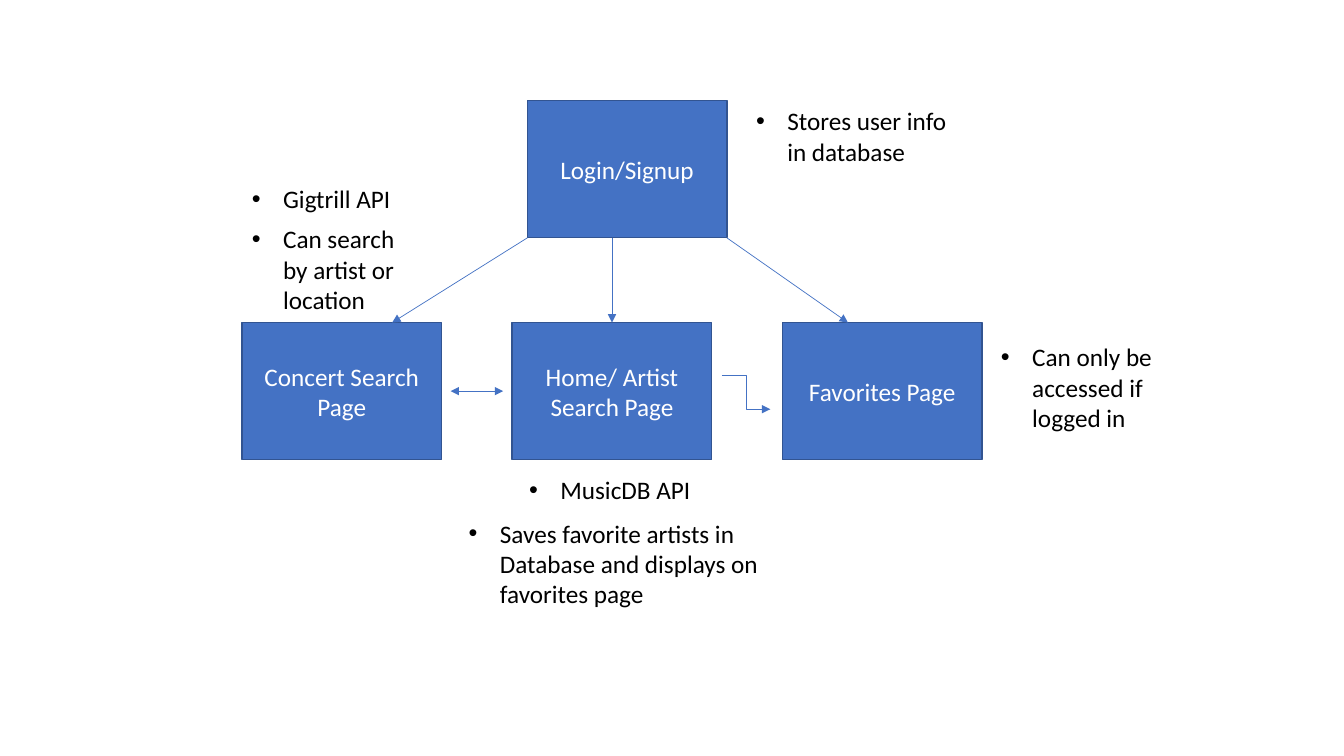
from lxml import etree
from pptx import Presentation
from pptx.dml.color import RGBColor
from pptx.enum.shapes import MSO_CONNECTOR, MSO_SHAPE
from pptx.enum.text import MSO_ANCHOR, MSO_AUTO_SIZE, PP_ALIGN
from pptx.oxml.ns import qn
from pptx.util import Pt

PX = 9144
BLUE = RGBColor(0x44, 0x72, 0xC4)
DARK_BLUE = RGBColor(0x32, 0x54, 0x91)
WHITE = RGBColor(0xFF, 0xFF, 0xFF)
BLACK = RGBColor(0x00, 0x00, 0x00)
RECTANGLE = MSO_SHAPE.RECTANGLE
STRAIGHT = MSO_CONNECTOR.STRAIGHT
ELBOW = MSO_CONNECTOR.ELBOW
MIDDLE = MSO_ANCHOR.MIDDLE
CENTER = PP_ALIGN.CENTER
GROW = MSO_AUTO_SIZE.SHAPE_TO_FIT_TEXT
FIXED = MSO_AUTO_SIZE.NONE

PAGE_WIDTH, PAGE_HEIGHT = 198, 136
LOGIN_LEFT, LOGIN_TOP = 523, 100
LOGIN_BOTTOM = LOGIN_TOP + PAGE_HEIGHT
ROW_LEFT, ROW_TOP, ROW_PITCH = 240, 320, 268
ROW_MIDDLE = ROW_TOP + PAGE_HEIGHT // 2
PAGES = ["Concert Search Page", "Home/ Artist Search Page", "Favorites Page"]
NOTES = [
    ("Stores user info in database", 740, 100, 219, 71, GROW),
    ("Can only be accessed if logged in", 983, 334, 180, 101, GROW),
    ("Gigtrill API", 240, 177, 184, 40, GROW),
    ("MusicDB API", 515, 466, 216, 40, GROW),
    ("Saves favorite artists in Database and displays on favorites page",
     455, 509, 322, 111, FIXED),
    ("Can search by artist or location", 240, 217, 186, 101, GROW),
]


class SiteMap:
    """Draws the page boxes, arrows and bulleted notes of a site map."""

    font_name = "Calibri"
    font_size = Pt(18)
    bullet_indent = 31

    def __init__(self, slide):
        self.slide = slide

    def style_text(self, paragraph, color):
        paragraph.font.name = self.font_name
        paragraph.font.size = self.font_size
        paragraph.font.color.rgb = color

    def page(self, name, left, top):
        shape = self.slide.shapes.add_shape(
            RECTANGLE, left * PX, top * PX, PAGE_WIDTH * PX, PAGE_HEIGHT * PX)
        shape.shadow.inherit = False
        shape.fill.solid()
        shape.fill.fore_color.rgb = BLUE
        shape.line.color.rgb = DARK_BLUE
        shape.line.width = Pt(1)
        shape.text_frame.word_wrap = True
        shape.text_frame.vertical_anchor = MIDDLE
        paragraph = shape.text_frame.paragraphs[0]
        paragraph.text = name
        paragraph.alignment = CENTER
        self.style_text(paragraph, WHITE)
        return shape

    def arrow(self, start, end, kind=STRAIGHT, ends=("tailEnd",)):
        connector = self.slide.shapes.add_connector(
            kind, *(value * PX for value in start + end))
        connector.line.color.rgb = BLUE
        connector.line.width = Pt(0.5)
        line = connector.line._get_or_add_ln()
        for tag in ends:
            etree.SubElement(line, qn(f"a:{tag}"), type="triangle")
        etree.SubElement(connector._element.spPr, qn("a:effectLst"))
        return connector

    def note(self, text, left, top, width, height, auto_size):
        box = self.slide.shapes.add_textbox(
            left * PX, top * PX, width * PX, height * PX)
        box.text_frame.word_wrap = True
        box.text_frame.auto_size = auto_size
        paragraph = box.text_frame.paragraphs[0]
        paragraph.text = text
        properties = paragraph._p.get_or_add_pPr()
        properties.set("marL", str(self.bullet_indent * PX))
        properties.set("indent", str(-self.bullet_indent * PX))
        etree.SubElement(properties, qn("a:buFont"), typeface="Arial")
        etree.SubElement(properties, qn("a:buChar"), char="•")
        self.style_text(paragraph, BLACK)


def main():
    presentation = Presentation()
    presentation.slide_width = 1333 * PX
    presentation.slide_height = 750 * PX
    slide = presentation.slides.add_slide(presentation.slide_layouts[6])
    site_map = SiteMap(slide)

    site_map.page("Login/Signup", LOGIN_LEFT, LOGIN_TOP)
    concert, home, favorites = [
        site_map.page(name, ROW_LEFT + index * ROW_PITCH, ROW_TOP)
        for index, name in enumerate(PAGES)]

    home_middle = ROW_LEFT + ROW_PITCH + PAGE_WIDTH // 2
    site_map.arrow((LOGIN_LEFT, LOGIN_BOTTOM), (389, ROW_TOP))
    home_arrow = site_map.arrow(
        (home_middle, LOGIN_BOTTOM), (home_middle, ROW_TOP))
    home_arrow.end_connect(home, 0)
    site_map.arrow((LOGIN_LEFT + PAGE_WIDTH, LOGIN_BOTTOM), (841, ROW_TOP))
    site_map.arrow((447, ROW_MIDDLE), (499, ROW_MIDDLE),
                   ends=("headEnd", "tailEnd"))
    site_map.arrow((716, 372), (764, 406), ELBOW)

    for note in NOTES:
        site_map.note(*note)

    presentation.save("out.pptx")


if __name__ == "__main__":
    main()
